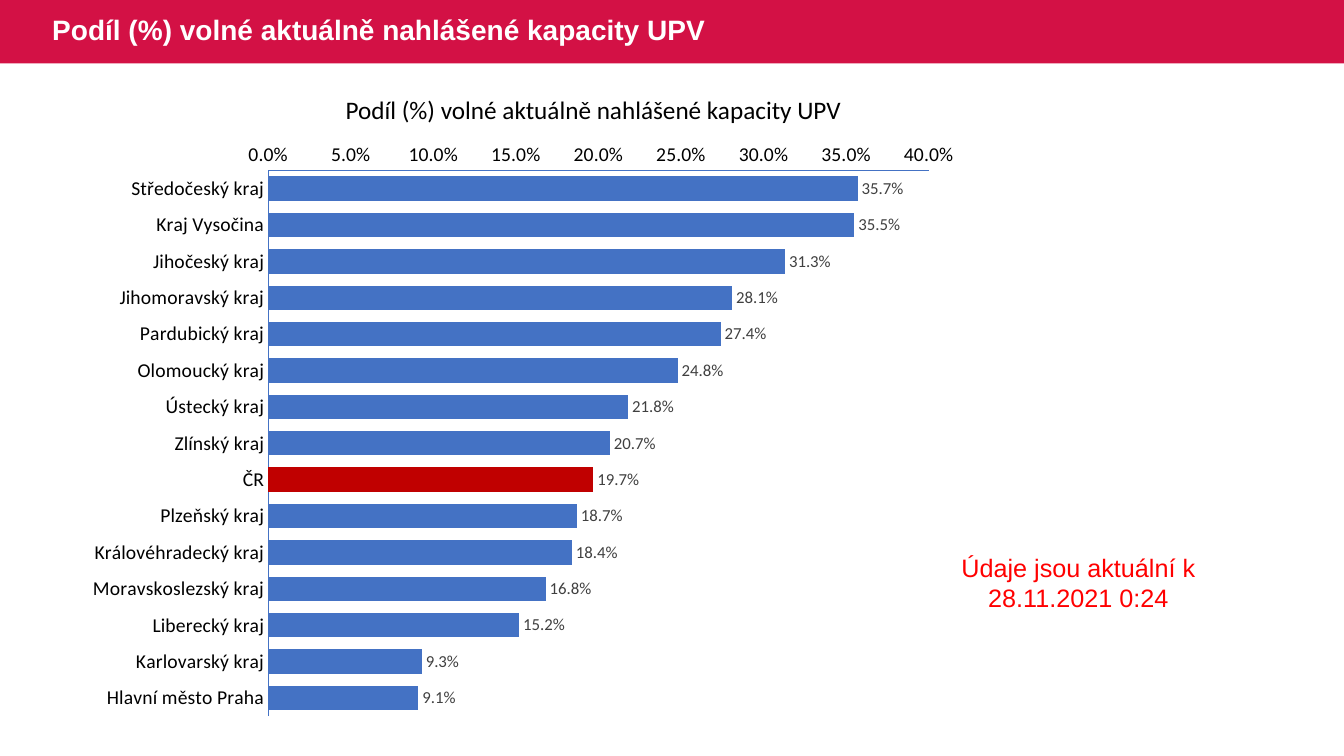
from lxml.etree import SubElement
from pptx import Presentation
from pptx.chart.data import CategoryChartData
from pptx.dml.color import RGBColor
from pptx.enum.chart import XL_CHART_TYPE, XL_LABEL_POSITION, XL_TICK_MARK
from pptx.enum.shapes import MSO_SHAPE
from pptx.enum.text import MSO_ANCHOR, MSO_AUTO_SIZE, PP_ALIGN
from pptx.oxml.ns import qn
from pptx.util import Inches, Pt

TITLE = "Podíl (%) volné aktuálně nahlášené kapacity UPV"
BLUE = "4472C4"
RED = "C00000"
HIGHLIGHT = "ČR"
PERCENT = "0.0%"
FREE_CAPACITY = {
    "Středočeský kraj": 0.357,
    "Kraj Vysočina": 0.355,
    "Jihočeský kraj": 0.313,
    "Jihomoravský kraj": 0.281,
    "Pardubický kraj": 0.274,
    "Olomoucký kraj": 0.248,
    "Ústecký kraj": 0.218,
    "Zlínský kraj": 0.207,
    "ČR": 0.197,
    "Plzeňský kraj": 0.187,
    "Královéhradecký kraj": 0.184,
    "Moravskoslezský kraj": 0.168,
    "Liberecký kraj": 0.152,
    "Karlovarský kraj": 0.093,
    "Hlavní město Praha": 0.091,
}


def color(value):
    """Return the colour for a hex string."""
    return RGBColor.from_string(value)


def paint(fill, value):
    """Make a fill solid in one colour."""
    fill.solid()
    fill.fore_color.rgb = color(value)


def style_font(font, name, size, value, bold=False):
    """Set the face, size, colour and weight of a font."""
    font.name = name
    font.size = Pt(size)
    font.bold = bold
    font.color.rgb = color(value)


def add_banner(slide):
    """Add the coloured band across the top."""
    banner = slide.shapes.add_shape(
        MSO_SHAPE.RECTANGLE, 0, 0, Inches(13.33), Inches(0.63))
    banner.shadow.inherit = False
    paint(banner.fill, "D31145")
    banner.line.fill.background()


def add_text(slide, box, text, name, size, value, bold=False, wrap=True,
             align=PP_ALIGN.LEFT, anchor=MSO_ANCHOR.TOP, spacing=1.0,
             auto_size=MSO_AUTO_SIZE.SHAPE_TO_FIT_TEXT):
    """Add a text box holding one paragraph."""
    shape = slide.shapes.add_textbox(*map(Inches, box))
    frame = shape.text_frame
    frame.word_wrap = wrap
    frame.auto_size = auto_size
    frame.vertical_anchor = anchor
    paragraph = frame.paragraphs[0]
    paragraph.alignment = align
    paragraph.line_spacing = spacing
    run = paragraph.add_run()
    run.text = text
    style_font(run.font, name, size, value, bold)


def style_axis(axis):
    """Give an axis its line and labels without ticks or gridlines."""
    axis.has_major_gridlines = False
    axis.major_tick_mark = XL_TICK_MARK.NONE
    axis.minor_tick_mark = XL_TICK_MARK.NONE
    axis.format.line.color.rgb = color(BLUE)
    axis.format.line.width = Pt(0.75)
    style_font(axis.tick_labels.font, "Calibri", 14, "000000")


def place_plot(chart, x, y, width, height):
    """Fix the inner plot area as fractions of the chart."""
    plot_area = chart.element.find(".//" + qn("c:plotArea"))
    for old_layout in plot_area.findall(qn("c:layout")):
        plot_area.remove(old_layout)
    layout = SubElement(plot_area, qn("c:layout"))
    plot_area.insert(0, layout)
    manual = SubElement(layout, qn("c:manualLayout"))
    settings = {"layoutTarget": "inner", "xMode": "edge", "yMode": "edge",
                "x": x, "y": y, "w": width, "h": height}
    for tag, value in settings.items():
        SubElement(manual, qn(f"c:{tag}")).set("val", str(value))


def add_capacity_chart(slide):
    """Add the bar chart of free capacity by region."""
    data = CategoryChartData(number_format=PERCENT)
    data.categories = list(FREE_CAPACITY)
    data.add_series("Series 1", FREE_CAPACITY.values())
    chart = slide.shapes.add_chart(
        XL_CHART_TYPE.BAR_CLUSTERED, Inches(0.74), Inches(1.3),
        Inches(8.89), Inches(5.93), data).chart
    chart.has_legend = False
    chart.has_title = False
    style_font(chart.font, "Calibri", 10, "000000")
    style_axis(chart.category_axis)
    style_axis(chart.value_axis)
    chart.category_axis.reverse_order = True
    chart.value_axis.minimum_scale = 0
    chart.value_axis.maximum_scale = 0.4
    chart.value_axis.major_unit = 0.05
    chart.value_axis.tick_labels.number_format = PERCENT
    chart.value_axis.tick_labels.number_format_is_linked = False

    plot = chart.plots[0]
    plot.gap_width = 50
    plot.vary_by_categories = False
    series = plot.series[0]
    paint(series.format.fill, BLUE)
    highlight = list(FREE_CAPACITY).index(HIGHLIGHT)
    paint(series.points[highlight].format.fill, RED)
    labels = series.data_labels
    labels.show_value = True
    labels.position = XL_LABEL_POSITION.OUTSIDE_END
    labels.number_format = PERCENT
    labels.number_format_is_linked = False
    style_font(labels.font, "Calibri", 12, "404040")
    place_plot(chart, 0.216, 0.066, 0.737, 0.913)


def main():
    """Build the slide and save it."""
    presentation = Presentation()
    presentation.slide_width = Inches(13.33)
    presentation.slide_height = Inches(7.5)
    slide = presentation.slides.add_slide(presentation.slide_layouts[6])
    add_banner(slide)
    add_text(slide, (0.42, 0, 11.56, 0.63), TITLE, "Arial", 20, "FFFFFF",
             bold=True, anchor=MSO_ANCHOR.MIDDLE, spacing=0.9,
             auto_size=MSO_AUTO_SIZE.NONE)
    add_capacity_chart(slide)
    add_text(slide, (3.33, 0.89, 5.17, 0.4), TITLE, "Calibri", 18, "000000",
             wrap=False)
    add_text(slide, (9.42, 5.43, 2.55, 0.71),
             "Údaje jsou aktuální k 28.11.2021 0:24", "Arial", 18, "FF0000",
             align=PP_ALIGN.CENTER)
    presentation.save("out.pptx")


if __name__ == "__main__":
    main()
